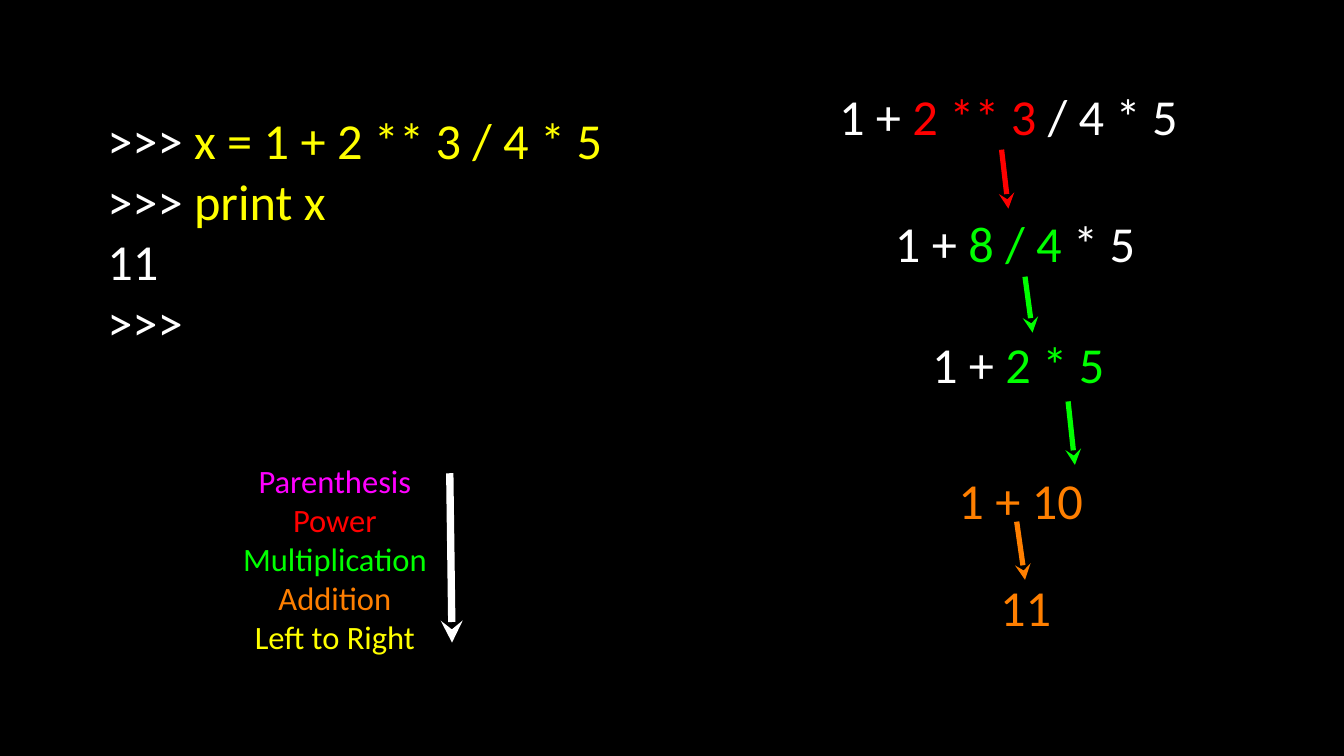
"""Build a slide that traces operator precedence through one expression."""
import pptx
import pptx.dml.color
import pptx.enum.shapes
import pptx.enum.text
import pptx.oxml
import pptx.oxml.ns
import pptx.util

Inches = pptx.util.Inches
ALIGN = pptx.enum.text.PP_ALIGN

WHITE, YELLOW, RED = "FFFFFF", "FFFF00", "FF0000"
GREEN, ORANGE, MAGENTA = "00FF00", "FF7F00", "FF00FF"

FRAME_FORMAT = {
    "margin_left": 0,
    "margin_top": 0,
    "margin_right": 0,
    "margin_bottom": 0,
    "vertical_anchor": pptx.enum.text.MSO_ANCHOR.MIDDLE,
    "word_wrap": False,
    "auto_size": pptx.enum.text.MSO_AUTO_SIZE.SHAPE_TO_FIT_TEXT,
}

CONSOLE = [
    [(">>> ", WHITE), ("x = 1 + 2 ** 3 / 4 * 5", YELLOW)],
    [(">>> ", WHITE), ("print x", YELLOW)],
    [("11", WHITE)],
    [(">>>", WHITE)],
]
PRECEDENCE = [
    [("Parenthesis", MAGENTA)],
    [("Power", RED)],
    [("Multiplication", GREEN)],
    [("Addition", ORANGE)],
    [("Left to Right", YELLOW)],
]
STEPS = [
    (11.1, 1.12, 5.03, [("1 + ", WHITE), ("2 ** 3", RED), (" / 4 * 5", WHITE)]),
    (11.84, 2.81, 3.56, [("1 + ", WHITE), ("8 / 4", GREEN), (" * 5", WHITE)]),
    (12.33, 4.41, 2.59, [("1 + ", WHITE), ("2 * 5", GREEN)]),
    (12.68, 6.2, 1.87, [("1 + 10", ORANGE)]),
    (13.23, 7.62, 0.76, [("11", ORANGE)]),
]
STEP_ARROWS = [
    ((13.34, 2.76), (13.25, 1.98), RED),
    ((13.66, 4.4), (13.56, 3.66), GREEN),
    ((14.22, 6.15), (14.13, 5.31), GREEN),
    ((13.56, 7.67), (13.45, 6.9), ORANGE),
]


def rgb(value):
    """Return the colour for a hex string."""
    return pptx.dml.color.RGBColor.from_string(value)


def apply_format(target, values):
    """Set every attribute in a dict of format values."""
    for attribute, value in values.items():
        setattr(target, attribute, value)


def add_text(shapes, box, lines, size=48, alignment=ALIGN.LEFT):
    """Add a text box whose lines are lists of (wording, colour)."""
    frame = shapes.add_textbox(*map(Inches, box)).text_frame
    apply_format(frame, FRAME_FORMAT)
    for index, line in enumerate(lines):
        paragraph = frame.add_paragraph() if index else frame.paragraphs[0]
        paragraph.alignment = alignment
        for wording, colour in line:
            run = paragraph.add_run()
            run.text = wording
            apply_format(run.font, {"name": "Calibri", "size": pptx.util.Pt(size)})
            run.font.color.rgb = rgb(colour)


def add_arrow(shapes, tip, start, colour, width=5):
    """Add a straight arrow with a stealth head at its tip."""
    arrow = shapes.add_connector(
        pptx.enum.shapes.MSO_CONNECTOR.STRAIGHT, *map(Inches, tip + start))
    arrow.line.color.rgb = rgb(colour)
    arrow.line.width = pptx.util.Pt(width)
    namespace = pptx.oxml.ns.nsdecls("a")
    properties = arrow._element.spPr
    properties.find(pptx.oxml.ns.qn("a:ln")).append(
        pptx.oxml.parse_xml(f'<a:headEnd {namespace} type="stealth"/>'))
    properties.append(pptx.oxml.parse_xml(f"<a:effectLst {namespace}/>"))


def add_precedence(slide):
    """Add the grouped list of operators with its order arrow."""
    precedence = slide.shapes.add_group_shape().shapes
    add_text(precedence, (3.05, 6.09, 2.76, 2.59), PRECEDENCE, 31, ALIGN.CENTER)
    add_arrow(precedence, (5.98, 8.5), (5.95, 6.26), WHITE, 7)


def add_evaluation(slide):
    """Add each step of the evaluation and the arrows between them."""
    for left, top, width, expression in STEPS:
        add_text(slide.shapes, (left, top, width, 0.8), [expression])
    for tip, start, colour in STEP_ARROWS:
        add_arrow(slide.shapes, tip, start, colour)


def main():
    """Build and save the slide."""
    presentation = pptx.Presentation()
    presentation.slide_width = Inches(17.78)
    presentation.slide_height = Inches(10)
    slide = presentation.slides.add_slide(presentation.slide_layouts[6])
    slide.background.fill.solid()
    slide.background.fill.fore_color.rgb = rgb("000000")
    add_precedence(slide)
    add_evaluation(slide)
    add_text(slide.shapes, (1.42, 1.45, 7.42, 3.2), CONSOLE)
    presentation.save("out.pptx")


if __name__ == "__main__":
    main()
